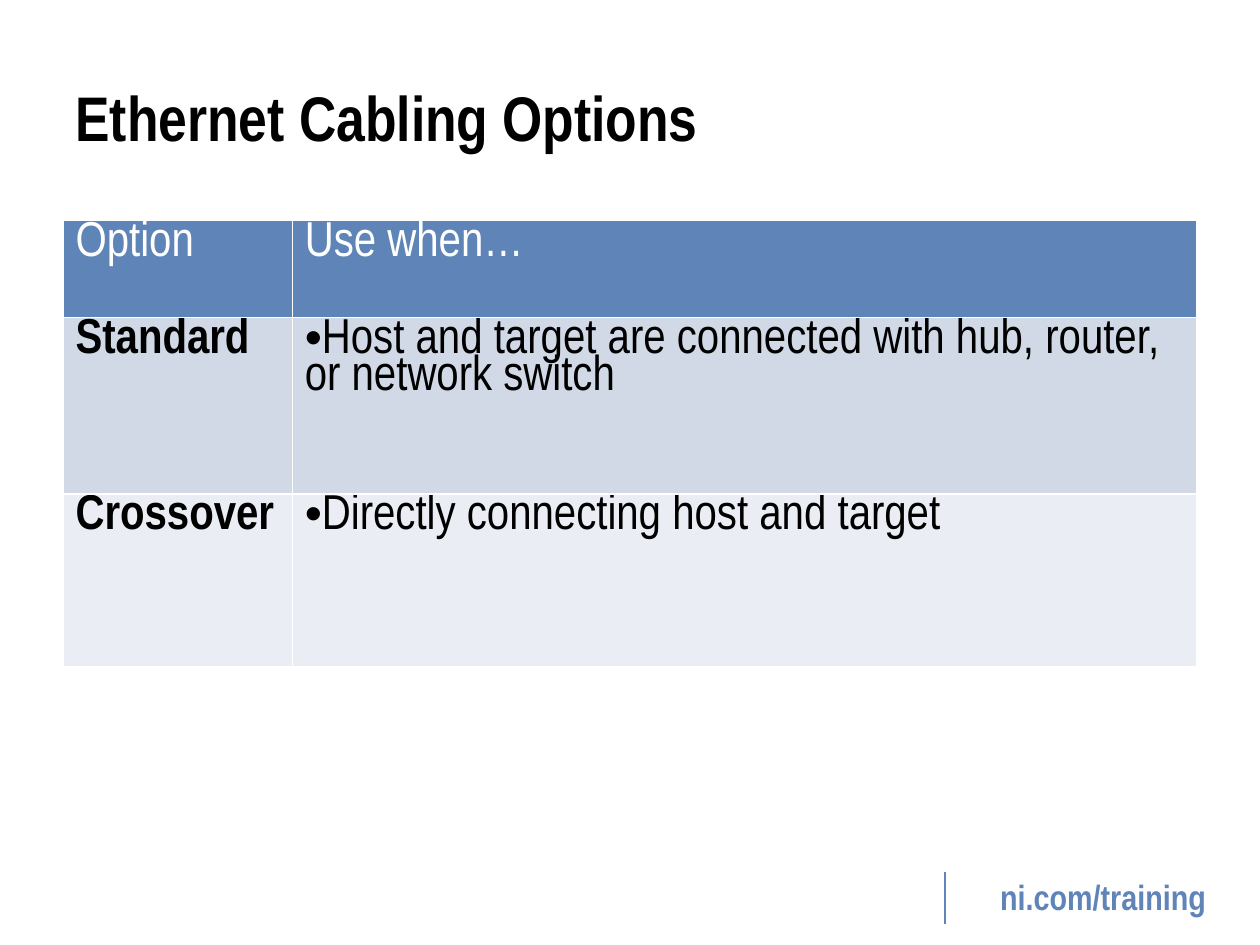
from lxml import etree
from pptx import Presentation
from pptx.dml.color import RGBColor
from pptx.enum.shapes import MSO_CONNECTOR
from pptx.enum.text import MSO_ANCHOR, PP_ALIGN
from pptx.oxml.ns import qn
from pptx.util import Inches, Pt

FONT = "Arial Narrow"
BLUE, WHITE, BLACK = "5E84B8", "FFFFFF", "000000"
TITLE = "Ethernet Cabling Options"
FOOTER = "ni.com/training"
ROWS = [
    ("Option", "Use when…"),
    ("Standard", "Host and target are connected with hub, router, or network switch"),
    ("Crossover", "Directly connecting host and target"),
]
ROW_FILLS = [BLUE, "D2D9E6", "EAEDF3"]
COL_WIDTHS = [1.82, 7.18]
ROW_HEIGHTS = [0.77, 1.4, 1.37]


def rgb(value):
    return RGBColor.from_string(value)


def write(tf, text, size, color, bold=False, align=PP_ALIGN.LEFT):
    p = tf.paragraphs[0]
    p.alignment = align
    r = p.add_run()
    r.text = text
    for name, value in dict(name=FONT, size=Pt(size), bold=bold).items():
        setattr(r.font, name, value)
    r.font.color.rgb = rgb(color)
    return p


def add_bullet(p):
    pPr = p._p.get_or_add_pPr()
    pPr.set("marL", "0")
    pPr.set("indent", "0")
    etree.SubElement(pPr, qn("a:buFont"), typeface="Arial")
    etree.SubElement(pPr, qn("a:buChar"), char="•")


def add_borders(cell, color, width):
    tcPr = cell._tc.get_or_add_tcPr()
    for side in ("lnL", "lnR", "lnT", "lnB"):
        ln = etree.SubElement(tcPr, qn(f"a:{side}"), w=str(Pt(width)))
        fill = etree.SubElement(ln, qn("a:solidFill"))
        etree.SubElement(fill, qn("a:srgbClr"), val=color)


def add_options_table(s):
    frame = s.shapes.add_table(len(ROWS), len(COL_WIDTHS), Inches(0.5), Inches(1.75),
                               Inches(sum(COL_WIDTHS)), Inches(sum(ROW_HEIGHTS)))
    table = frame.table
    for col, width in zip(table.columns, COL_WIDTHS):
        col.width = Inches(width)
    for i, (texts, fill) in enumerate(zip(ROWS, ROW_FILLS)):
        table.rows[i].height = Inches(ROW_HEIGHTS[i])
        for j, text in enumerate(texts):
            cell = table.cell(i, j)
            add_borders(cell, WHITE, 1)
            cell.fill.solid()
            cell.fill.fore_color.rgb = rgb(fill)
            header = i == 0
            p = write(cell.text_frame, text, 28, WHITE if header else BLACK,
                      bold=not header and j == 0)
            p.line_spacing = 0.8
            if not header and j == 1:
                add_bullet(p)


def add_footer(s):
    box = s.shapes.add_textbox(Inches(7.67), Inches(6.9), Inches(2.17), Inches(0.44))
    box.text_frame.word_wrap = True
    write(box.text_frame, FOOTER, 20, BLUE, bold=True, align=PP_ALIGN.CENTER)
    rule = s.shapes.add_connector(MSO_CONNECTOR.STRAIGHT, Inches(7.5), Inches(6.92),
                                  Inches(7.5), Inches(7.33))
    rule.line.color.rgb = rgb(BLUE)
    rule.line.width = Pt(1.5)
    etree.SubElement(rule._element.spPr, qn("a:effectLst"))


def main():
    prs = Presentation()
    prs.slide_width, prs.slide_height = Inches(10), Inches(7.5)
    s = prs.slides.add_slide(prs.slide_layouts[5])
    title = s.shapes.title
    title.left, title.top = Inches(0.5), Inches(0.3)
    title.width, title.height = Inches(9), Inches(1.25)
    title.text_frame.vertical_anchor = MSO_ANCHOR.MIDDLE
    write(title.text_frame, TITLE, 36, BLACK, bold=True)
    add_options_table(s)
    add_footer(s)
    prs.save("out.pptx")


if __name__ == "__main__":
    main()
